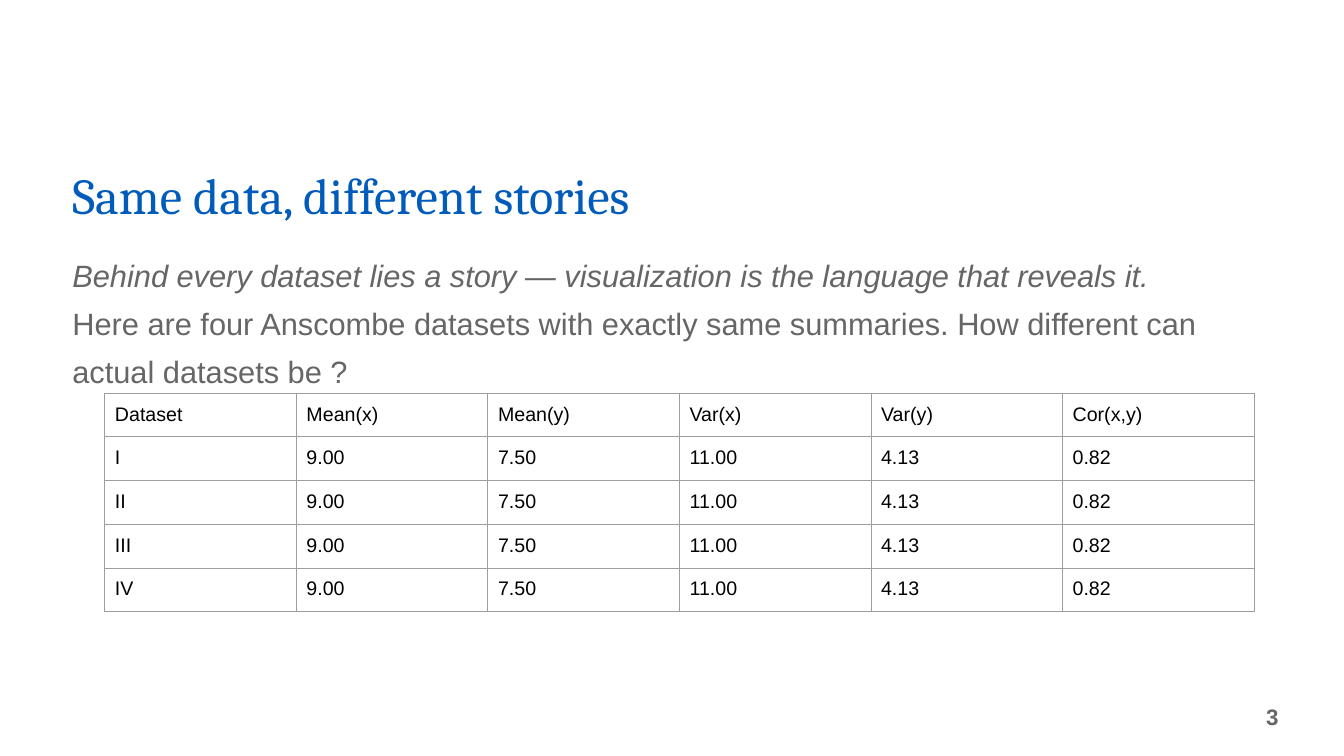
from dataclasses import dataclass, field

from lxml.etree import SubElement
from pptx import Presentation
from pptx.dml.color import RGBColor
from pptx.enum.text import MSO_ANCHOR as Anchor, PP_ALIGN as Align
from pptx.oxml.ns import qn
from pptx.slide import Slide
from pptx.table import _Cell as Cell
from pptx.text.text import _Run as Run
from pptx.util import Inches, Pt

BLUE = RGBColor(0x00, 0x5B, 0xBB)
GRAY = RGBColor(0x66, 0x66, 0x66)
BLACK = RGBColor(0x00, 0x00, 0x00)
BORDER = RGBColor(0x9E, 0x9E, 0x9E)

TITLE_FONT = {"name": "Cambria", "size": Pt(36), "color": BLUE}
BODY_FONT = {"name": "Arial", "size": Pt(22), "color": GRAY}
NUMBER_FONT = {"name": "Arial", "size": Pt(16), "color": GRAY, "bold": True}
CELL_FONT = {"name": "Arial", "size": Pt(14), "color": BLACK}


@dataclass
class Line:
    text: str
    font: dict


@dataclass
class TextBlock:
    box: tuple[float, float, float, float]
    lines: list[Line]
    frame: dict = field(default_factory=dict)
    paragraph: dict = field(default_factory=dict)


BLOCKS = [
    TextBlock((0.62, 1.64, 7.6, 0.65),
              [Line("Same data, different stories", TITLE_FONT)],
              {"vertical_anchor": Anchor.BOTTOM}, {"line_spacing": 0.9}),
    TextBlock((0.62, 2.39, 12.16, 1.34),
              [Line("Behind every dataset lies a story — visualization is the "
                    "language that reveals it.", BODY_FONT | {"italic": True}),
               Line("Here are four Anscombe datasets with exactly same summaries. "
                    "How different can actual datasets be ?", BODY_FONT)],
              {"vertical_anchor": Anchor.TOP}, {"line_spacing": 1.3}),
    TextBlock((8.28, 6.91, 4.5, 0.4), [Line("3", NUMBER_FONT)],
              {"vertical_anchor": Anchor.MIDDLE}, {"alignment": Align.RIGHT}),
]

HEADERS = ["Dataset", "Mean(x)", "Mean(y)", "Var(x)", "Var(y)", "Cor(x,y)"]
SUMMARY = ["9.00", "7.50", "11.00", "4.13", "0.82"]
ROWS = [HEADERS] + [[name, *SUMMARY] for name in ("I", "II", "III", "IV")]
TABLE_LEFT, TABLE_TOP = 1.04, 3.9
COL_WIDTH, ROW_HEIGHT = 1.9, 0.42
CELL_MARGIN = Inches(0.1)


def set_all(target: object, values: dict) -> None:
    for name, value in values.items():
        setattr(target, name, value)


def format_run(r: Run, font: dict) -> None:
    set_all(r.font, {k: v for k, v in font.items() if k != "color"})
    r.font.color.rgb = font["color"]


def add_text(s: Slide, block: TextBlock) -> None:
    tf = s.shapes.add_textbox(*map(Inches, block.box)).text_frame
    set_all(tf, {"word_wrap": True} | block.frame)
    for i, line in enumerate(block.lines):
        p = tf.add_paragraph() if i else tf.paragraphs[0]
        set_all(p, block.paragraph)
        r = p.add_run()
        r.text = line.text
        format_run(r, line.font)


def add_borders(cell: Cell) -> None:
    props = cell._tc.get_or_add_tcPr()
    for side in ("a:lnL", "a:lnR", "a:lnT", "a:lnB"):
        ln = SubElement(props, qn(side), w=str(Pt(0.75)))
        fill = SubElement(ln, qn("a:solidFill"))
        SubElement(fill, qn("a:srgbClr"), val=str(BORDER))


def format_cell(cell: Cell, text: str) -> None:
    set_all(cell, {f"margin_{side}": CELL_MARGIN
                   for side in ("left", "right", "top", "bottom")})
    r = cell.text_frame.paragraphs[0].add_run()
    r.text = text
    format_run(r, CELL_FONT)
    # Borders come before the fill in the cell properties
    add_borders(cell)
    cell.fill.background()


def add_summary_table(s: Slide) -> None:
    n_rows, n_cols = len(ROWS), len(HEADERS)
    table = s.shapes.add_table(
        n_rows, n_cols, Inches(TABLE_LEFT), Inches(TABLE_TOP),
        Inches(COL_WIDTH * n_cols), Inches(ROW_HEIGHT * n_rows)).table
    set_all(table, {"first_row": False, "horz_banding": False})
    for row, texts in zip(table.rows, ROWS):
        for cell, text in zip(row.cells, texts):
            format_cell(cell, text)


def main() -> None:
    prs = Presentation()
    prs.slide_width, prs.slide_height = Inches(13.33), Inches(7.5)
    s = prs.slides.add_slide(prs.slide_layouts[6])

    # Title, introduction and slide number
    for block in BLOCKS:
        add_text(s, block)

    # Summary statistics of the four datasets
    add_summary_table(s)

    prs.save("out.pptx")


if __name__ == "__main__":
    main()
